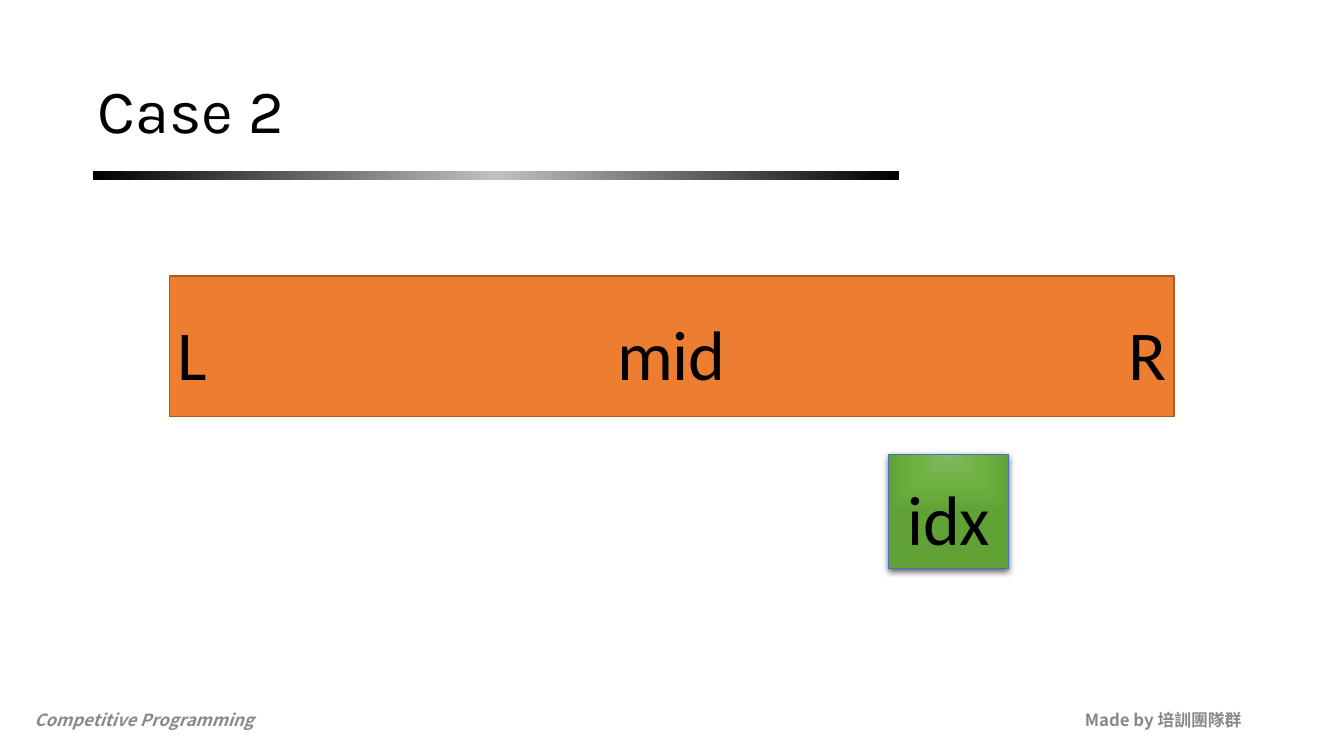
from lxml import etree
from pptx import Presentation
from pptx.dml.color import RGBColor
from pptx.enum.shapes import MSO_SHAPE
from pptx.enum.text import MSO_ANCHOR, PP_ALIGN
from pptx.oxml import parse_xml
from pptx.oxml.ns import nsdecls, qn
from pptx.util import Cm, Pt

RECTANGLE = MSO_SHAPE.RECTANGLE
TOP, MIDDLE = MSO_ANCHOR.TOP, MSO_ANCHOR.MIDDLE
LEFT, RIGHT = PP_ALIGN.LEFT, PP_ALIGN.RIGHT

BLACK = RGBColor(0x00, 0x00, 0x00)
SILVER = RGBColor(0xC0, 0xC0, 0xC0)
CREDIT_GRAY = RGBColor(0x88, 0x88, 0x88)
COURSE_GRAY = RGBColor(0x89, 0x89, 0x89)
ORANGE = RGBColor(0xED, 0x7D, 0x31)
BROWN = RGBColor(0xAD, 0x5B, 0x24)
GREEN_LIGHT = RGBColor(0x80, 0xB8, 0x60)
GREEN = RGBColor(0x6F, 0xB2, 0x42)
GREEN_DARK = RGBColor(0x61, 0xA2, 0x36)
BLUE = RGBColor(0x44, 0x72, 0xC4)

# Content: places are left, top, width, height in cm
TITLE = ("Case 2", (2.34, 1.02, 29.21, 3.68))
RULE_PLACE = (2.34, 4.32, 20.32, 0.23)
ARRAY_PLACE = (4.27, 6.96, 25.32, 3.53)
INDEX_PLACE = (22.4, 11.46, 3.02, 2.87)
FOOTER_TOP, FOOTER_WIDTH, FOOTER_HEIGHT = 17.78, 7.37, 0.74
FOOTERS = [
    ("Competitive Programming", 0.74, LEFT, COURSE_GRAY, True),
    ("Made by 培訓團隊群", 24.05, RIGHT, CREDIT_GRAY, False),
]
LABEL_HEIGHT = 2.06
# Label text, left, width, place of the bar it is centred on
LABELS = [
    ("L", 4.34, 1.04, ARRAY_PLACE),
    ("R", 28.3, 1.24, ARRAY_PLACE),
    ("mid", 15.42, 3.02, ARRAY_PLACE),
    ("idx", 22.73, 2.39, INDEX_PLACE),
]

# Text formats
TITLE_FONT = {"name": "Karla", "size": Pt(44)}
LABEL_FONT = {"name": "Calibri", "size": Pt(50)}
FOOTER_FONT = {"name": "Noto Sans CJK SC", "size": Pt(12), "bold": True}
MARGINS = ("margin_left", "margin_top", "margin_right", "margin_bottom")

# Gradient directions and the shadow under the index box
ACROSS = '<a:lin ang="0" scaled="0"/>'
FROM_TOP = ('<a:path path="shape"><a:fillToRect l="50000" t="-1000" '
            'r="50000" b="101000"/></a:path>')
SHADOW = (f'<a:outerShdw {nsdecls("a")} blurRad="{Pt(5)}" dist="{Pt(1.5)}" '
          'dir="5400000" algn="ctr" rotWithShape="0"><a:srgbClr val="000000">'
          '<a:alpha val="63000"/></a:srgbClr></a:outerShdw>')


def add_text(slide, text, place, font_values, color=BLACK,
             anchor=TOP, align=LEFT, wrap=True, line_spacing=None):
    box = slide.shapes.add_textbox(*map(Cm, place))
    frame = box.text_frame
    frame.word_wrap = wrap
    frame.vertical_anchor = anchor
    for margin in MARGINS:
        setattr(frame, margin, Cm(0.13))
    paragraph = frame.paragraphs[0]
    paragraph.alignment = align
    paragraph.line_spacing = line_spacing
    run = paragraph.add_run()
    run.text = text
    for name, value in font_values.items():
        setattr(run.font, name, value)
    run.font.color.rgb = color
    east_asian = etree.SubElement(run.font._element, qn("a:ea"))
    east_asian.set("typeface", font_values["name"])


def add_box(slide, place, fill, line=None, width=0):
    shape = slide.shapes.add_shape(RECTANGLE, *map(Cm, place))
    shape.shadow.inherit = False
    shape.fill.solid()
    shape.fill.fore_color.rgb = fill
    if line is None:
        shape.line.fill.background()
    else:
        shape.line.color.rgb = line
        shape.line.width = Pt(width)
    return shape


def set_gradient(shape, colors, direction):
    step = 100000 // (len(colors) - 1)
    stops = "".join(
        f'<a:gs pos="{number * step}"><a:srgbClr val="{color}"/></a:gs>'
        for number, color in enumerate(colors))
    gradient = parse_xml(f'<a:gradFill {nsdecls("a")} rotWithShape="1">'
                         f'<a:gsLst>{stops}</a:gsLst>{direction}</a:gradFill>')
    properties = shape._element.spPr
    properties.replace(properties.find(qn("a:solidFill")), gradient)


def main():
    presentation = Presentation()
    presentation.slide_width, presentation.slide_height = Cm(33.87), Cm(19.05)
    slide = presentation.slides.add_slide(presentation.slide_layouts[6])

    # Footer
    for text, left, align, color, italic in FOOTERS:
        place = (left, FOOTER_TOP, FOOTER_WIDTH, FOOTER_HEIGHT)
        add_text(slide, text, place, {**FOOTER_FONT, "italic": italic},
                 color, MIDDLE, align)

    # Title and the rule below it
    rule = add_box(slide, RULE_PLACE, BLACK)
    set_gradient(rule, (BLACK, SILVER, BLACK), ACROSS)
    add_text(slide, *TITLE, TITLE_FONT, anchor=MIDDLE, line_spacing=0.9)

    # Array range and index box
    add_box(slide, ARRAY_PLACE, ORANGE, BROWN, 1)
    index_box = add_box(slide, INDEX_PLACE, GREEN, BLUE, 0.5)
    set_gradient(index_box, (GREEN_LIGHT, GREEN, GREEN_DARK), FROM_TOP)
    effects = index_box._element.spPr.find(qn("a:effectLst"))
    effects.append(parse_xml(SHADOW))

    # Labels, centred vertically on their bars
    for text, left, width, (_, bar_top, _, bar_height) in LABELS:
        top = bar_top + (bar_height - LABEL_HEIGHT) / 2
        add_text(slide, text, (left, top, width, LABEL_HEIGHT), LABEL_FONT,
                 wrap=False)

    presentation.save("out.pptx")


if __name__ == "__main__":
    main()
